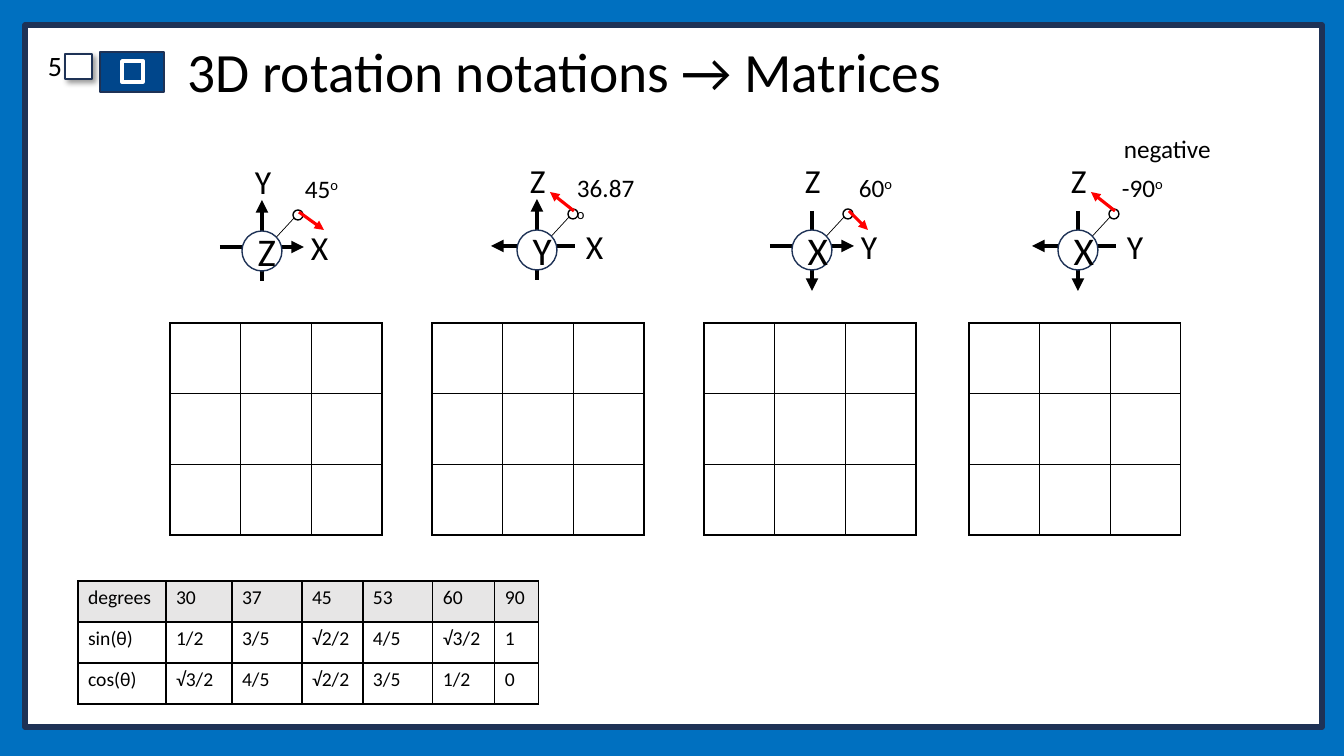
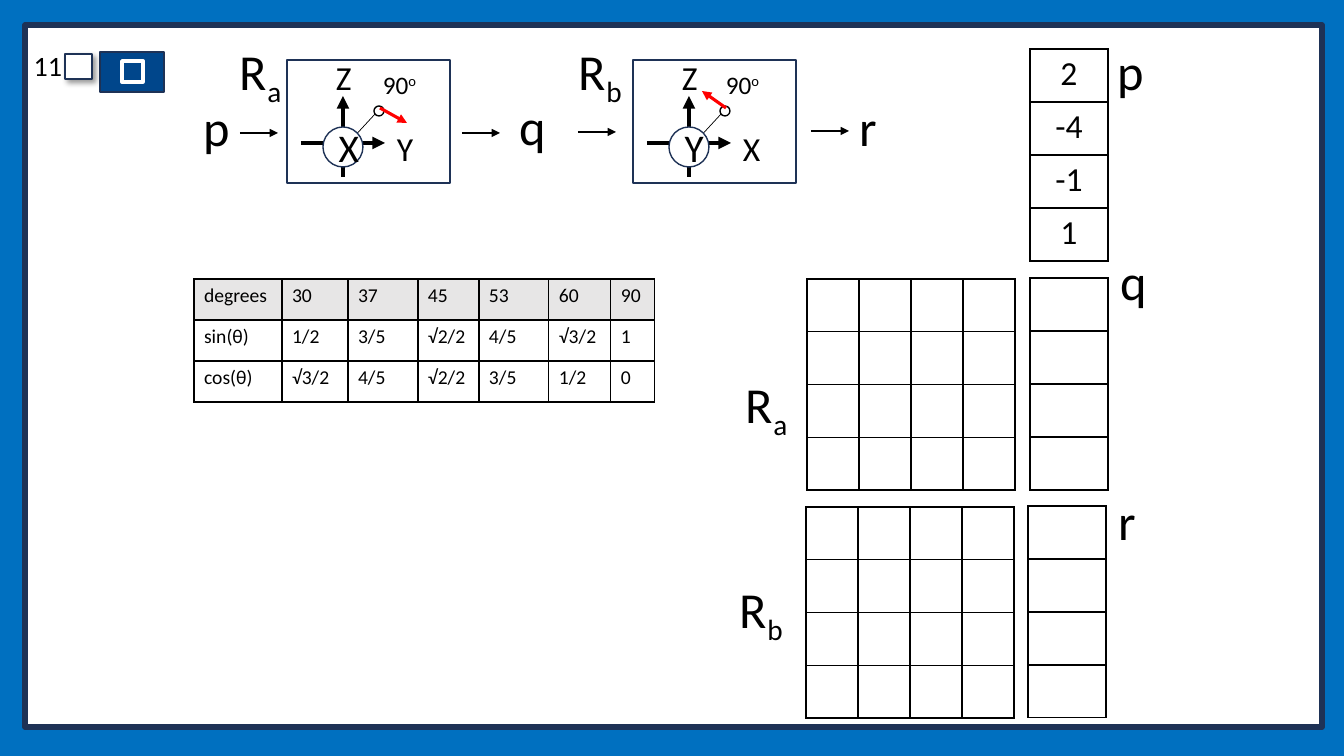
from dataclasses import dataclass
from typing import Optional

from lxml import etree
from pptx import Presentation
from pptx.dml.color import RGBColor
from pptx.enum.shapes import MSO_CONNECTOR, MSO_SHAPE
from pptx.enum.text import MSO_ANCHOR, PP_ALIGN
from pptx.oxml.ns import qn
from pptx.shapes.autoshape import Shape
from pptx.slide import Slide
from pptx.table import Table, _Cell
from pptx.text.text import TextFrame
from pptx.util import Emu, Pt

RECTANGLE, OVAL = MSO_SHAPE.RECTANGLE, MSO_SHAPE.OVAL
STRAIGHT = MSO_CONNECTOR.STRAIGHT
LEFT, CENTER, RIGHT = PP_ALIGN.LEFT, PP_ALIGN.CENTER, PP_ALIGN.RIGHT
TOP, MIDDLE = MSO_ANCHOR.TOP, MSO_ANCHOR.MIDDLE

BLUE = RGBColor(0x00, 0x70, 0xC0)
BADGE_BLUE = RGBColor(0x00, 0x46, 0x8B)
NAVY = RGBColor(0x1E, 0x32, 0x56)
WHITE = RGBColor(0xFF, 0xFF, 0xFF)
BLACK = RGBColor(0x00, 0x00, 0x00)
RED = RGBColor(0xFF, 0x00, 0x00)
GREY = RGBColor(0xE7, 0xE6, 0xE6)

FONT = "Calibri"
WIDTH, HEIGHT = 1344, 756
SCALE = 12192000 / WIDTH
SUPERSCRIPT, SUBSCRIPT = 30000, -25000

ANGLE_COLUMNS = (88, 66, 70, 61, 70, 62, 44)
ANGLE_ROWS = (
    ("degrees", "30", "37", "45", "53", "60", "90"),
    ("sin(θ)", "1/2", "3/5", "√2/2", "4/5", "√3/2", "1"),
    ("cos(θ)", "√3/2", "4/5", "√2/2", "3/5", "1/2", "0"),
)
ANGLE_ROW_HEIGHT = 41


@dataclass(frozen=True)
class Dial:
    x: int
    y: int
    toward: str
    upright: str
    sideways: str
    angle: str
    angle_left: int
    angle_width: int
    turn: tuple[int, int]
    up: bool = True
    right: bool = True
    sideways_at: tuple[int, int] = (39, -29)


@dataclass(frozen=True)
class Grid:
    left: int
    top: int
    width: int
    height: int
    rows: int
    columns: int
    values: tuple[str, ...] = ()


@dataclass(frozen=True)
class Label:
    left: int
    top: int
    text: str
    subscript: str = ""


ROTATION_DIALS = (
    Dial(262, 251, "Z", "Y", "X", "45", 33, 59, (62, -21)),
    Dial(537, 250, "Y", "Z", "X", "36.87", 30, 83, (13, -58), right=False),
    Dial(812, 250, "X", "Z", "Y", "60", 37, 58, (56, -20), up=False),
    Dial(1078, 250, "X", "Z", "Y", "-90", 34, 69, (13, -58), up=False, right=False),
)
ROTATION_GRIDS = tuple(Grid(left, 323, 212, 212, 3, 3) for left in (170, 432, 704, 969))

CHAIN_DIALS = (
    Dial(343, 147, "X", "Z", "Y", "90", 30, 100, (64, -24), sideways_at=(44, -24)),
    Dial(689, 147, "Y", "Z", "X", "90", 27, 100, (13, -56), sideways_at=(44, -24)),
)
CHAIN_ARROWS = ((240, 133), (462, 133), (578, 132), (811, 131))
CHAIN_LABELS = (
    Label(194, 91, "p"),
    Label(230, 35, "R", "a"),
    Label(510, 90, "q"),
    Label(569, 35, "R", "b"),
    Label(850, 91, "r"),
    Label(1108, 35, "p"),
    Label(1111, 245, "q"),
    Label(1109, 485, "r"),
    Label(736, 368, "R", "a"),
    Label(730, 573, "R", "b"),
)
CHAIN_GRIDS = (
    Grid(1030, 49, 78, 212, 4, 1, ("2", "-4", "-1", "1")),
    Grid(807, 279, 208, 211, 4, 4),
    Grid(1030, 278, 78, 212, 4, 1),
    Grid(806, 507, 208, 211, 4, 4),
    Grid(1028, 506, 78, 212, 4, 1),
)


def px(length: float) -> Emu:
    return Emu(round(length * SCALE))


def write(frame: TextFrame, text: str, size: float, align: PP_ALIGN = LEFT,
          shifted: str = "", baseline: int = 0) -> None:
    para = frame.paragraphs[0]
    para.alignment = align
    para.font.name = FONT
    para.font.size = Pt(size)
    para.font.color.rgb = BLACK
    para.add_run().text = text
    if shifted:
        span = para.add_run()
        span.text = shifted
        span._r.get_or_add_rPr().set("baseline", str(baseline))


def add_text(page: Slide, left: int, top: int, width: int, height: int, text: str,
             size: float, align: PP_ALIGN = LEFT, anchor: MSO_ANCHOR = TOP,
             shifted: str = "", baseline: int = 0) -> Shape:
    box = page.shapes.add_textbox(px(left), px(top), px(width), px(height))
    box.text_frame.word_wrap = True
    box.text_frame.vertical_anchor = anchor
    write(box.text_frame, text, size, align, shifted, baseline)
    return box


def add_box(page: Slide, kind: MSO_SHAPE, left: int, top: int, width: int, height: int,
            fill: Optional[RGBColor], line: RGBColor = NAVY, weight: float = 1) -> Shape:
    box = page.shapes.add_shape(kind, px(left), px(top), px(width), px(height))
    box.shadow.inherit = False
    if fill is None:
        box.fill.background()
    else:
        box.fill.solid()
        box.fill.fore_color.rgb = fill
    box.line.color.rgb = line
    box.line.width = Pt(weight)
    return box


def add_line(page: Slide, start: tuple[int, int], end: tuple[int, int], weight: float,
             color: RGBColor = BLACK, arrow: bool = True) -> None:
    line = page.shapes.add_connector(STRAIGHT, px(start[0]), px(start[1]), px(end[0]), px(end[1]))
    line.line.color.rgb = color
    line.line.width = Pt(weight)
    if arrow:
        etree.SubElement(line.line._get_or_add_ln(), qn("a:tailEnd"), type="triangle")
    etree.SubElement(line._element.spPr, qn("a:effectLst"))


def add_shadow(box: Shape) -> None:
    effects = box._element.spPr.find(qn("a:effectLst"))
    shadow = etree.SubElement(effects, qn("a:outerShdw"), blurRad=str(Pt(4)),
                              dist=str(Pt(3)), dir="2700000", algn="tl")
    color = etree.SubElement(shadow, qn("a:srgbClr"), val=str(BLACK))
    etree.SubElement(color, qn("a:alpha"), val="40000")


def style_cell(cell: _Cell, fill: Optional[RGBColor] = None) -> None:
    properties = cell._tc.get_or_add_tcPr()
    for side in ("lnL", "lnR", "lnT", "lnB"):
        border = etree.SubElement(properties, qn(f"a:{side}"), w=str(Pt(1)))
        solid = etree.SubElement(border, qn("a:solidFill"))
        etree.SubElement(solid, qn("a:srgbClr"), val=str(BLACK))
    if fill is None:
        cell.fill.background()
    else:
        cell.fill.solid()
        cell.fill.fore_color.rgb = fill


def add_plain_table(page: Slide, left: int, top: int, width: int, height: int,
                    rows: int, columns: int) -> Table:
    table = page.shapes.add_table(rows, columns, px(left), px(top), px(width), px(height)).table
    table.first_row = False
    table.horz_banding = False
    return table


def draw_grid(page: Slide, grid: Grid) -> None:
    table = add_plain_table(page, grid.left, grid.top, grid.width, grid.height,
                            grid.rows, grid.columns)
    for cell in table.iter_cells():
        style_cell(cell)
    for row, value in enumerate(grid.values):
        write(table.cell(row, 0).text_frame, value, 24, CENTER)


def draw_angle_table(page: Slide, left: int, top: int) -> None:
    table = add_plain_table(page, left, top, sum(ANGLE_COLUMNS),
                            ANGLE_ROW_HEIGHT * len(ANGLE_ROWS),
                            len(ANGLE_ROWS), len(ANGLE_COLUMNS))
    for column, width in zip(table.columns, ANGLE_COLUMNS):
        column.width = px(width)
    for row, values in enumerate(ANGLE_ROWS):
        for column, value in enumerate(values):
            cell = table.cell(row, column)
            style_cell(cell, GREY if row == 0 else None)
            write(cell.text_frame, value, 14)


def draw_dial(page: Slide, dial: Dial) -> None:
    def at(across: int, down: int) -> tuple[int, int]:
        return dial.x + across, dial.y + down

    tail, tip = (30, -51) if dial.up else (-39, 41)
    start, end = (-42, 42) if dial.right else (38, -46)
    add_line(page, at(-3, 5), at(33, -34), 0.5, arrow=False)
    add_line(page, at(0, tail), at(0, tip), 3)
    add_line(page, at(start, -4), at(end, -4), 3)
    add_box(page, OVAL, *at(31, -41), 10, 10, WHITE, BLACK)
    hub = add_box(page, OVAL, *at(-20, -20), 40, 40, WHITE)
    hub.text_frame.vertical_anchor = MIDDLE
    write(hub.text_frame, dial.toward, 28, CENTER)
    add_line(page, at(37, -39), at(*dial.turn), 2.25, RED)
    add_text(page, *at(-17, -95), 39, 50, dial.upright, 24)
    add_text(page, *at(*dial.sideways_at), 39, 50, dial.sideways, 24)
    add_text(page, *at(dial.angle_left, -83), dial.angle_width, 40, dial.angle, 18,
             shifted="o", baseline=SUPERSCRIPT)


def add_page(deck: Presentation, number: str) -> Slide:
    page = deck.slides.add_slide(deck.slide_layouts[6])
    page.background.fill.solid()
    page.background.fill.fore_color.rgb = BLUE
    add_box(page, RECTANGLE, 25, 25, 1297, 702, WHITE, weight=4)
    add_box(page, RECTANGLE, 100, 52, 64, 40, BADGE_BLUE)
    add_box(page, RECTANGLE, 122, 61, 21, 21, BADGE_BLUE, WHITE, 2.5)
    add_shadow(add_box(page, RECTANGLE, 65, 54, 27, 25, WHITE))
    box = add_text(page, 0, 47, 72, 45, number, 20, RIGHT)
    box.text_frame.paragraphs[0].line_spacing = 0.9
    return page


def draw_rotations(deck: Presentation) -> None:
    page = add_page(deck, "5")
    title = add_text(page, 178, 40, 1074, 69, "3D rotation notations → Matrices", 39.6,
                     anchor=MIDDLE)
    title.text_frame.paragraphs[0].line_spacing = 0.9
    for dial in ROTATION_DIALS:
        draw_dial(page, dial)
    for grid in ROTATION_GRIDS:
        draw_grid(page, grid)
    draw_angle_table(page, 78, 581)
    add_text(page, 1114, 128, 126, 40, "negative", 18)


def draw_chain(deck: Presentation) -> None:
    page = add_page(deck, "11")
    for dial in CHAIN_DIALS:
        draw_dial(page, dial)
        add_box(page, RECTANGLE, dial.x - 56, dial.y - 87, 163, 123, None)
    for left, top in CHAIN_ARROWS:
        add_line(page, (left, top), (left + 38, top), 1.75)
    for label in CHAIN_LABELS:
        add_text(page, label.left, label.top, 72, 71, label.text, 36,
                 shifted=label.subscript, baseline=SUBSCRIPT)
    draw_angle_table(page, 194, 279)
    for grid in CHAIN_GRIDS:
        draw_grid(page, grid)


def main() -> None:
    deck = Presentation()
    deck.slide_width, deck.slide_height = px(WIDTH), px(HEIGHT)
    draw_rotations(deck)
    draw_chain(deck)
    deck.save("out.pptx")


if __name__ == "__main__":
    main()
